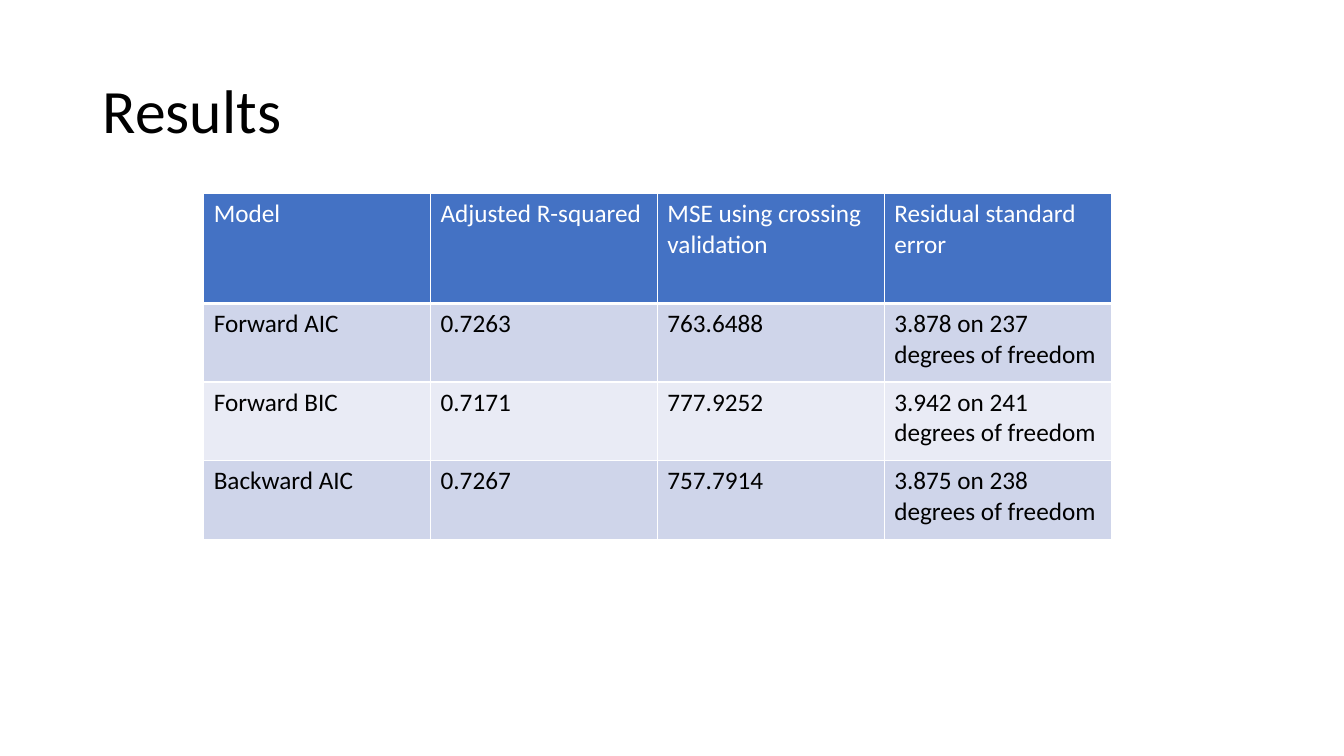
from lxml import etree
from pptx import Presentation
from pptx.dml.color import RGBColor
from pptx.enum.text import MSO_ANCHOR, PP_ALIGN
from pptx.oxml.ns import qn
from pptx.util import Pt

EMU_PER_PX = 9144
TITLE_ONLY = 5
MIDDLE = MSO_ANCHOR.MIDDLE
LEFT = PP_ALIGN.LEFT
COLORS = {
    "text": "000000",
    "white": "FFFFFF",
    "header": "4472C4",
    "odd": "CFD5EA",
    "even": "E9EBF5",
}
RESULTS = [
    ["Model", "Adjusted R-squared", "MSE using crossing validation", "Residual standard error"],
    ["Forward AIC", "0.7263", "763.6488", "3.878 on 237 degrees of freedom"],
    ["Forward BIC", "0.7171", "777.9252", "3.942 on 241 degrees of freedom"],
    ["Backward AIC", "0.7267", "757.7914", "3.875 on 238 degrees of freedom"],
]


def px(length):
    return length * EMU_PER_PX


def rgb(name):
    return RGBColor.from_string(COLORS[name])


class SlideBuilder:
    font_name = "Calibri"

    def __init__(self, presentation):
        self.slide = presentation.slides.add_slide(presentation.slide_layouts[TITLE_ONLY])

    def format_text(self, paragraph, size, color):
        paragraph.alignment = LEFT
        values = {"name": self.font_name, "size": Pt(size), "bold": False}
        for attribute, value in values.items():
            setattr(paragraph.font, attribute, value)
        paragraph.font.color.rgb = rgb(color)

    def title(self, text, left, top, width, height):
        shape = self.slide.shapes.title
        box = {"left": left, "top": top, "width": width, "height": height}
        for attribute, value in box.items():
            setattr(shape, attribute, px(value))
        shape.text_frame.text = text
        shape.text_frame.vertical_anchor = MIDDLE
        paragraph = shape.text_frame.paragraphs[0]
        paragraph.line_spacing = 0.9
        self.format_text(paragraph, 44, "text")

    def borders(self, cell, bottom_width):
        properties = cell._tc.get_or_add_tcPr()
        widths = {"a:lnL": 1, "a:lnR": 1, "a:lnT": 1, "a:lnB": bottom_width}
        for position, (tag, width) in enumerate(widths.items()):
            line = etree.Element(qn(tag), w=str(Pt(width)))
            fill = etree.SubElement(line, qn("a:solidFill"))
            etree.SubElement(fill, qn("a:srgbClr"), val=COLORS["white"])
            properties.insert(position, line)

    def cell(self, cell, text, fill, color, bottom_width):
        cell.text = text
        self.format_text(cell.text_frame.paragraphs[0], 18, color)
        cell.fill.solid()
        cell.fill.fore_color.rgb = rgb(fill)
        self.borders(cell, bottom_width)

    def table(self, rows, left, top, column_width, row_heights):
        frame = self.slide.shapes.add_table(
            len(rows), len(rows[0]), px(left), px(top),
            px(column_width * len(rows[0])), px(sum(row_heights)))
        table = frame.table
        for column in table.columns:
            column.width = px(column_width)
        for index, (texts, height) in enumerate(zip(rows, row_heights)):
            table.rows[index].height = px(height)
            if index == 0:
                style = ("header", "white", 3)
            else:
                style = ("odd" if index % 2 else "even", "text", 1)
            for column, text in enumerate(texts):
                self.cell(table.cell(index, column), text, *style)


def main():
    presentation = Presentation()
    presentation.slide_width = px(1333)
    presentation.slide_height = px(750)
    builder = SlideBuilder(presentation)
    builder.title("Results", 92, 40, 1150, 145)
    builder.table(RESULTS, 202, 192, 225, [109, 78, 78, 78])
    presentation.save("out.pptx")


if __name__ == "__main__":
    main()
